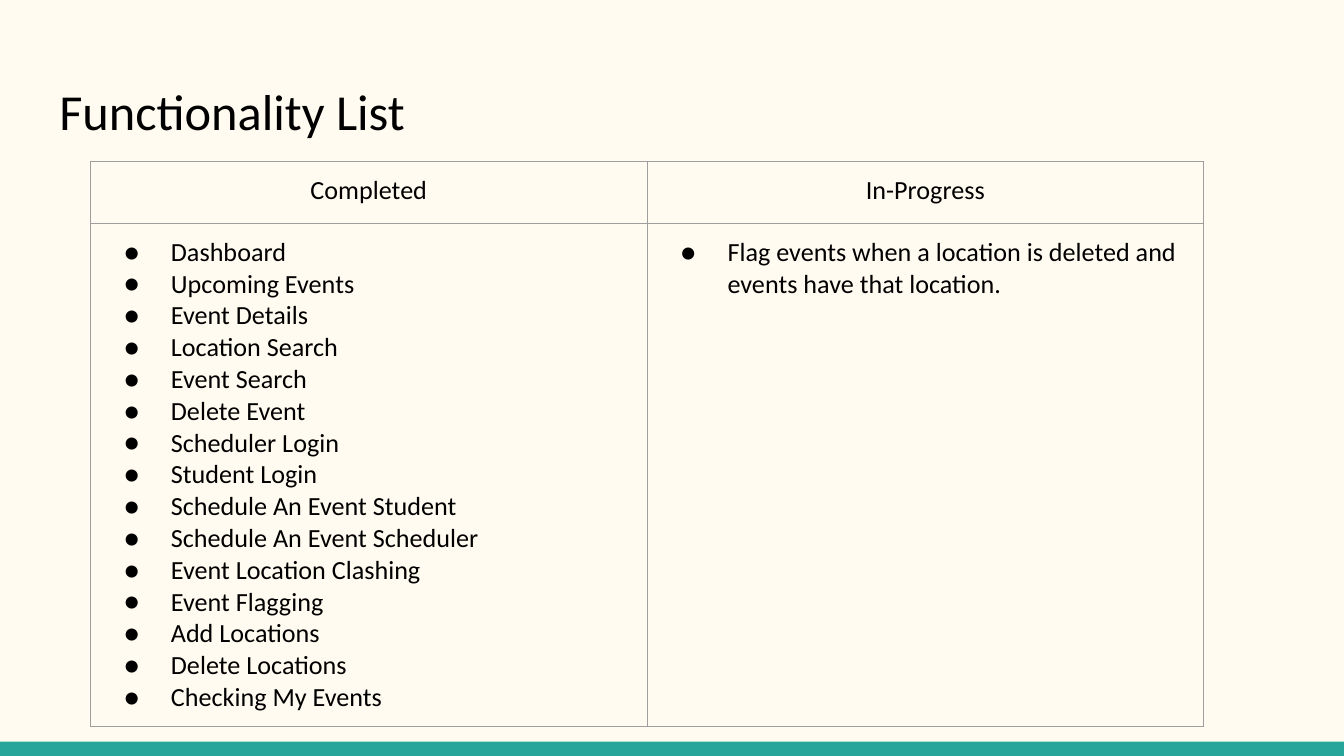
import pptx
import pptx.dml.color
import pptx.enum.shapes
import pptx.enum.text
import pptx.oxml
import pptx.oxml.ns
import pptx.util

Cm = pptx.util.Cm
RGB = pptx.dml.color.RGBColor.from_string
ALIGN = pptx.enum.text.PP_ALIGN
ANCHOR = pptx.enum.text.MSO_ANCHOR
NS = pptx.oxml.ns.nsdecls("a")


class Theme:
    font = "Calibri"
    back = "FFFBF0"
    bar = "26A69A"
    ink = "000000"
    rule = "9E9E9E"
    head = 27
    body = 14
    line = 0.75


def write(frame, text, size=Theme.body, align=ALIGN.LEFT, bullet=None):
    """Fill a text frame, one paragraph for each line of text."""
    frame.text = text
    for para in frame.paragraphs:
        para.alignment = align
        font = para.runs[0].font
        font.name = Theme.font
        font.size = pptx.util.Pt(size)
        font.color.rgb = RGB(Theme.ink)
        if bullet:
            props = para._p.get_or_add_pPr()
            props.set("marL", str(Cm(1.27)))
            props.set("indent", str(-Cm(0.89)))
            for tag in (
                f'<a:buClr {NS}><a:srgbClr val="{Theme.ink}"/></a:buClr>',
                f'<a:buFont {NS} typeface="{Theme.font}"/>',
                f'<a:buChar {NS} char="{bullet}"/>',
            ):
                props.append(pptx.oxml.parse_xml(tag))


def style(cell):
    """Give a cell even margins, thin borders and no fill."""
    cell.margin_left = cell.margin_right = Cm(0.25)
    cell.margin_top = cell.margin_bottom = Cm(0.25)
    props = cell._tc.get_or_add_tcPr()
    width = pptx.util.Pt(Theme.line)
    for side in "LRTB":
        props.append(pptx.oxml.parse_xml(
            f'<a:ln{side} {NS} w="{width}"><a:solidFill>'
            f'<a:srgbClr val="{Theme.rule}"/></a:solidFill></a:ln{side}>'
        ))
    cell.fill.background()


lists = {
    "Completed": [
        "Dashboard",
        "Upcoming Events",
        "Event Details",
        "Location Search",
        "Event Search",
        "Delete Event",
        "Scheduler Login",
        "Student Login",
        "Schedule An Event Student",
        "Schedule An Event Scheduler",
        "Event Location Clashing",
        "Event Flagging",
        "Add Locations",
        "Delete Locations",
        "Checking My Events",
    ],
    "In-Progress": [
        "Flag events when a location is deleted and events have that location.",
    ],
}

deck = pptx.Presentation()
deck.slide_width = Cm(25.4)
deck.slide_height = Cm(14.29)
slide = deck.slides.add_slide(deck.slide_layouts[5])
slide.background.fill.solid()
slide.background.fill.fore_color.rgb = RGB(Theme.back)

# Bottom bar
high = Cm(0.27)
bar = slide.shapes.add_shape(
    pptx.enum.shapes.MSO_SHAPE.RECTANGLE,
    0, deck.slide_height - high, deck.slide_width, high,
)
bar.shadow.inherit = False
bar.fill.solid()
bar.fill.fore_color.rgb = RGB(Theme.bar)
bar.line.fill.background()

# Title
title = slide.shapes.title
title.left, title.top = Cm(0.87), Cm(1.24)
title.width, title.height = Cm(23.67), Cm(1.7)
frame = title.text_frame
frame.margin_left = frame.margin_right = Cm(0.25)
frame.margin_top = frame.margin_bottom = Cm(0.25)
frame.vertical_anchor = ANCHOR.MIDDLE
frame.auto_size = pptx.enum.text.MSO_AUTO_SIZE.NONE
write(frame, "Functionality List", size=Theme.head)

# Table: one column for each list
rows = [Cm(1.16), Cm(9.45)]
wide = Cm(10.52)
table = slide.shapes.add_table(
    len(rows), len(lists), Cm(1.71), Cm(3.06), wide * len(lists), sum(rows)
).table
table.first_row = table.horz_banding = False
for row, size in zip(table.rows, rows):
    row.height = size
for col, (name, items) in enumerate(lists.items()):
    table.columns[col].width = wide
    top, low = table.cell(0, col), table.cell(1, col)
    style(top)
    style(low)
    write(top.text_frame, name, align=ALIGN.CENTER)
    write(low.text_frame, "\n".join(items), bullet="●")

deck.save("out.pptx")
